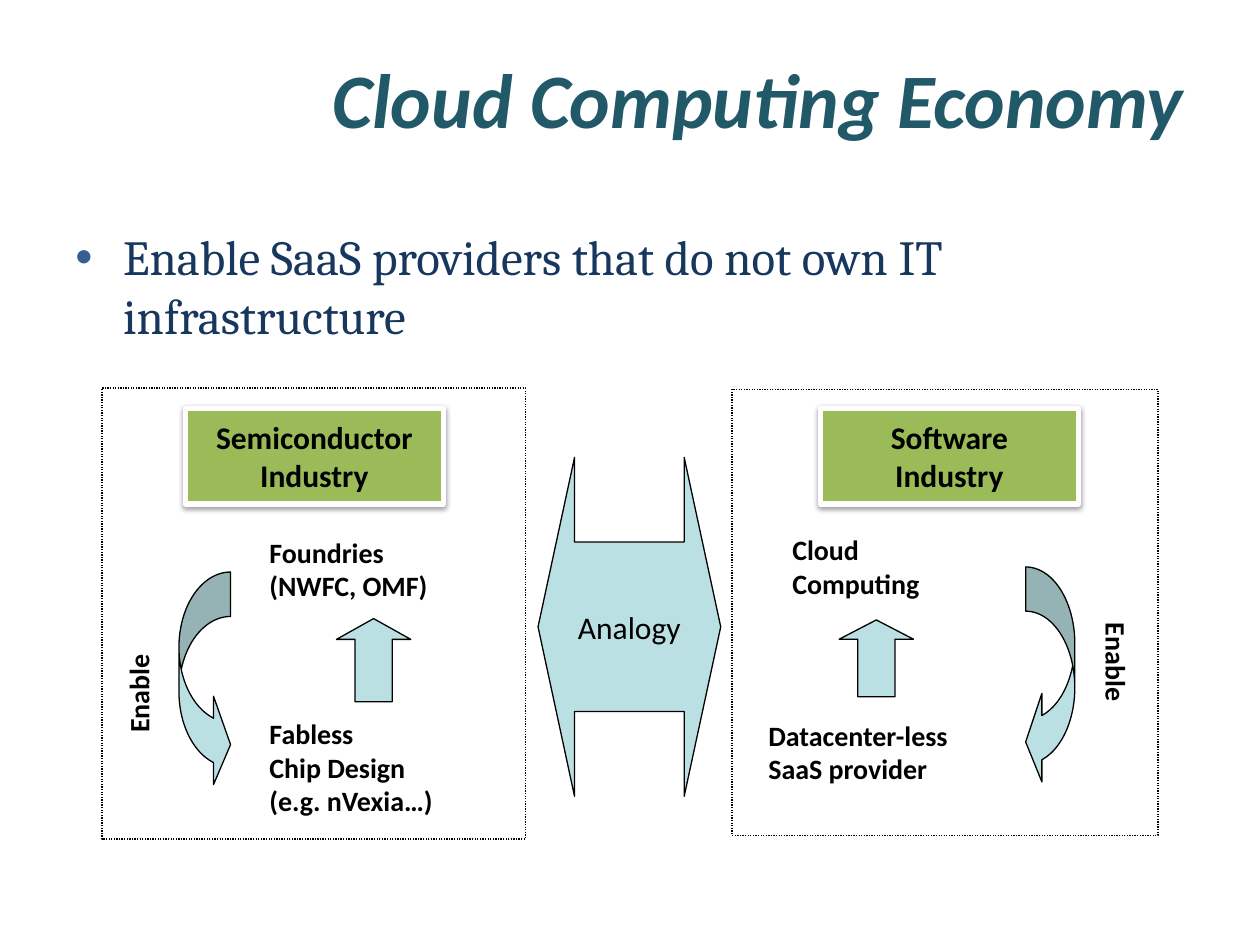
from lxml.etree import SubElement
from pptx import Presentation
from pptx.dml.color import RGBColor
from pptx.enum.dml import MSO_LINE
from pptx.enum.shapes import MSO_SHAPE
from pptx.enum.text import MSO_ANCHOR, PP_ALIGN
from pptx.oxml.ns import qn
from pptx.util import Inches, Pt

COLORS = {
    "title": "215968",
    "body": "17375E",
    "bullet": "376092",
    "arrow": "BBE0E3",
    "header": "9BBB59",
    "white": "FFFFFF",
    "black": "000000",
}


def add_text(sp, text, size, color="black", font="Calibri", bold=False,
             italic=False, align=PP_ALIGN.LEFT, anchor=MSO_ANCHOR.TOP, wrap=True):
    tf = sp.text_frame
    tf.word_wrap = wrap
    tf.vertical_anchor = anchor
    tf.text = text
    for p in tf.paragraphs:
        p.alignment = align
        for r in p.runs:
            r.font.name = font
            r.font.size = Pt(size)
            r.font.bold = bold
            r.font.italic = italic
            r.font.color.rgb = RGBColor.from_string(COLORS[color])


def add_shape(s, kind, box, fill=None, line="black", width=0.75, adj=()):
    sp = s.shapes.add_shape(kind, *[Inches(v) for v in box])
    sp.shadow.inherit = False
    if fill:
        sp.fill.solid()
        sp.fill.fore_color.rgb = RGBColor.from_string(COLORS[fill])
    else:
        sp.fill.background()
    sp.line.color.rgb = RGBColor.from_string(COLORS[line])
    sp.line.width = Pt(width)
    for i, value in enumerate(adj):
        sp.adjustments[i] = value
    return sp


prs = Presentation()
prs.slide_width = Inches(10)
prs.slide_height = Inches(7.5)
s = prs.slides.add_slide(prs.slide_layouts[6])

title = s.shapes.add_textbox(Inches(0.5), Inches(0.3), Inches(9), Inches(0.95))
add_text(title, "Cloud Computing Economy", 44, "title", bold=True, italic=True,
         align=PP_ALIGN.RIGHT, anchor=MSO_ANCHOR.MIDDLE)

body = s.shapes.add_textbox(Inches(0.5), Inches(1.75), Inches(9), Inches(4.95))
add_text(body, "Enable SaaS providers that do not own IT infrastructure",
         28, "body", font="Cambria")
pPr = body.text_frame.paragraphs[0]._p.get_or_add_pPr()
pPr.set("marL", str(Inches(0.38)))
pPr.set("indent", str(-Inches(0.38)))
SubElement(SubElement(pPr, qn("a:buClr")), qn("a:srgbClr"), val=COLORS["bullet"])
SubElement(pPr, qn("a:buFont"), typeface="Arial")
SubElement(pPr, qn("a:buChar"), char="•")

for box in [(0.81, 3.08, 3.36, 3.58), (5.81, 3.09, 3.38, 3.54)]:
    panel = add_shape(s, MSO_SHAPE.RECTANGLE, box)
    panel.line.dash_style = MSO_LINE.ROUND_DOT

for kind, box, adj in [
    (MSO_SHAPE.UP_ARROW, (2.67, 4.91, 0.59, 0.66), (0.5, 0.28)),
    (MSO_SHAPE.UP_ARROW, (6.66, 4.92, 0.59, 0.61), (0.5, 0.26)),
    (MSO_SHAPE.CURVED_RIGHT_ARROW, (1.42, 4.54, 0.41, 1.72), (0.86, 1.71, 0.33)),
    (MSO_SHAPE.CURVED_LEFT_ARROW, (8.14, 4.5, 0.39, 1.74), (0.9, 1.8, 0.33)),
]:
    add_shape(s, kind, box, "arrow", adj=adj)

analogy = add_shape(s, MSO_SHAPE.LEFT_RIGHT_ARROW, (4.27, 3.63, 1.45, 2.69),
                    "arrow", adj=(0.5, 0.2))
add_text(analogy, "Analogy", 18, align=PP_ALIGN.CENTER,
         anchor=MSO_ANCHOR.MIDDLE, wrap=False)

for left, text in [(1.47, "Semiconductor\nIndustry"), (6.51, "Software\nIndustry")]:
    header = add_shape(s, MSO_SHAPE.RECTANGLE, (left, 3.24, 2.05, 0.76),
                       "header", "white", 3)
    add_text(header, text, 18, bold=True, align=PP_ALIGN.CENTER,
             anchor=MSO_ANCHOR.MIDDLE)
    effects = header._element.spPr.find(qn("a:effectLst"))
    shadow = SubElement(effects, qn("a:outerShdw"), blurRad=str(Pt(3.1)),
                        dist=str(Pt(1.6)), dir="5400000", rotWithShape="0")
    color = SubElement(shadow, qn("a:srgbClr"), val=COLORS["black"])
    SubElement(color, qn("a:alpha"), val="38000")

for text, box, rotation in [
    ("Foundries\n(NWFC, OMF)", (2.04, 4.2, 1.74, 0.68), 0),
    ("Fabless\nChip Design\n(e.g. nVexia…)", (2.04, 5.64, 1.82, 0.97), 0),
    ("Cloud\nComputing", (6.19, 4.18, 1.48, 0.68), 0),
    ("Datacenter-less\nSaaS provider", (6, 5.65, 2.01, 0.68), 0),
    ("Enable", (0.62, 5.22, 0.99, 0.4), 270),
    ("Enable", (8.35, 5.14, 0.99, 0.4), 90),
]:
    label = s.shapes.add_textbox(*[Inches(v) for v in box])
    label.rotation = rotation
    add_text(label, text, 16, bold=True)

prs.save("out.pptx")
